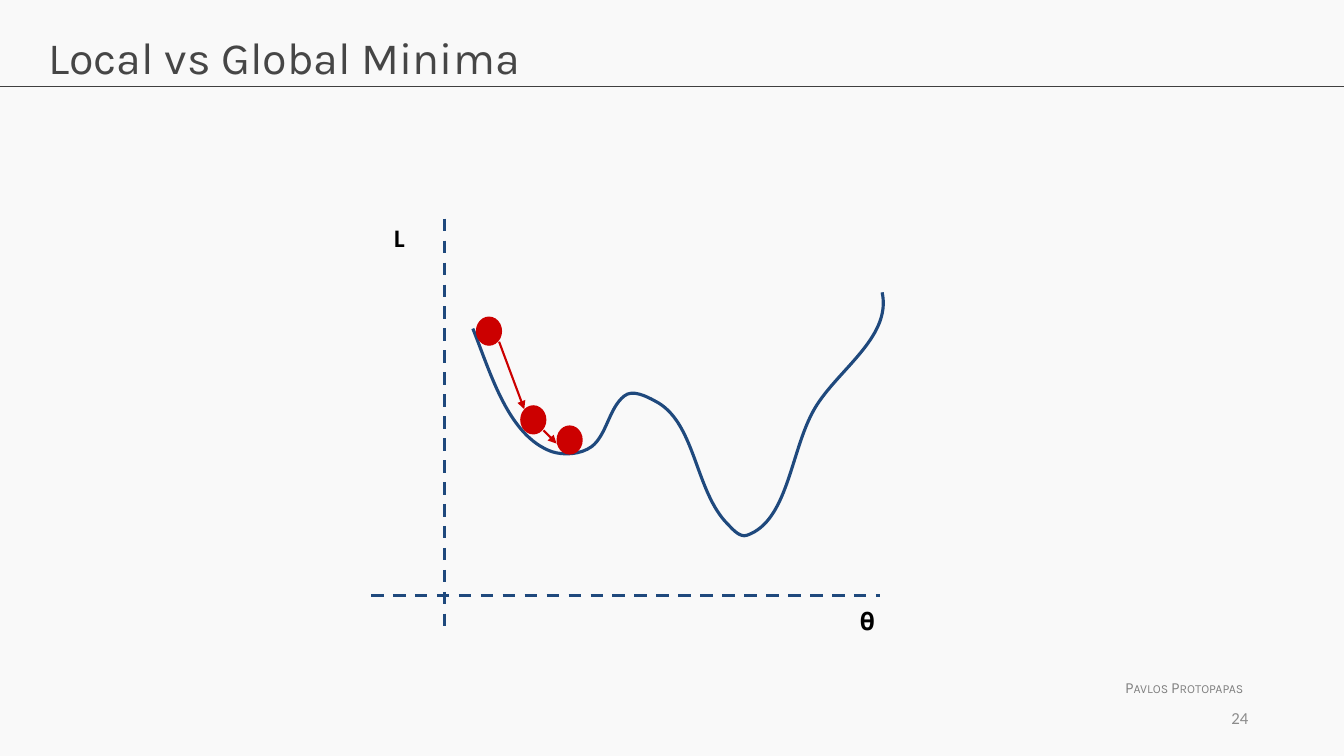
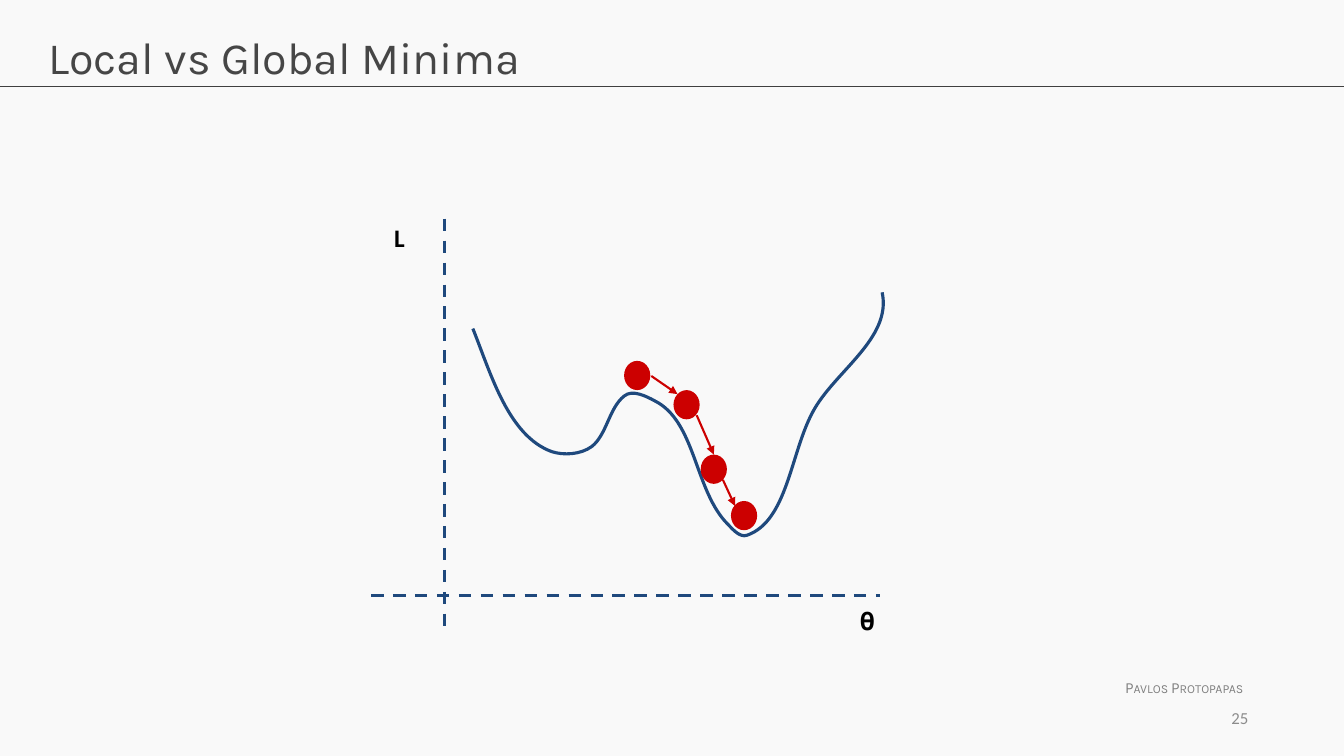
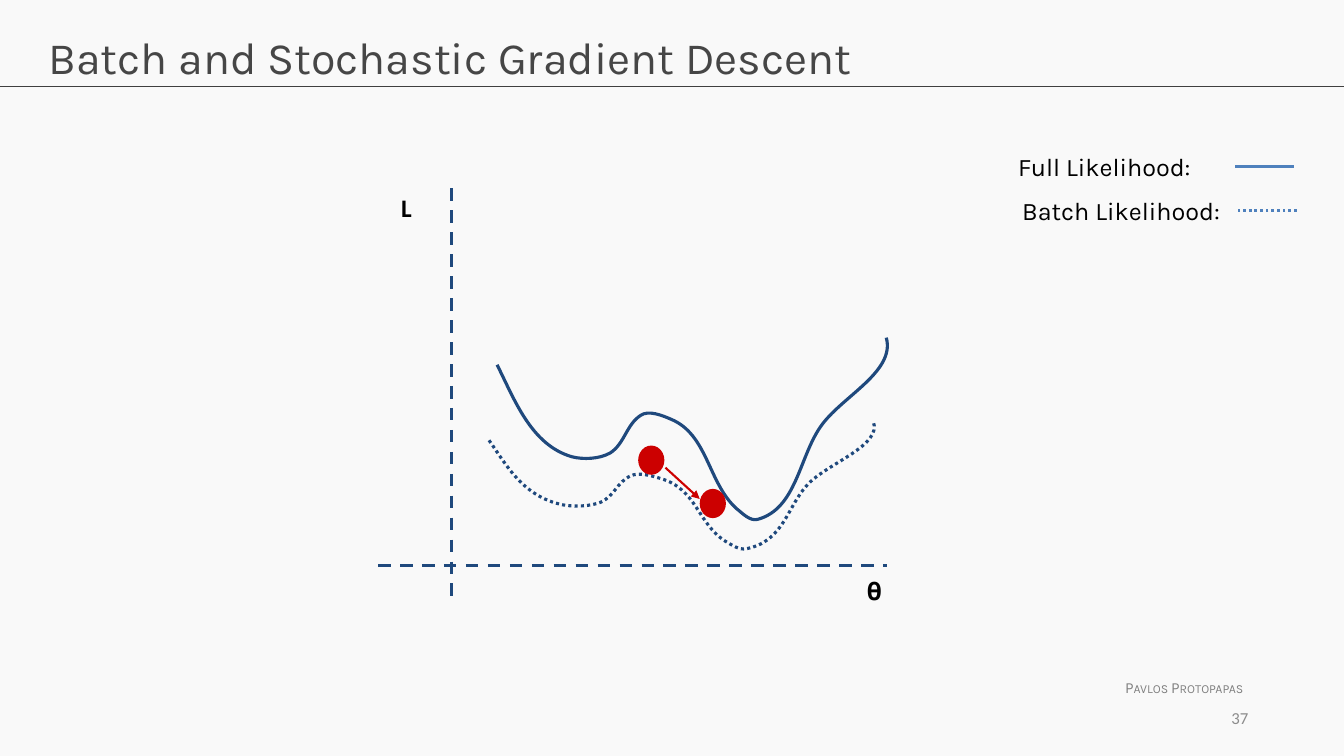
"""Build three slides on loss curves, minima and stochastic gradient descent."""
import lxml.etree
import pptx
import pptx.dml.color
import pptx.enum.dml
import pptx.enum.shapes
import pptx.enum.text
import pptx.oxml.ns
import pptx.util

Inches = pptx.util.Inches
qn = pptx.oxml.ns.qn
DASH = pptx.enum.dml.MSO_LINE.DASH
DOT = pptx.enum.dml.MSO_LINE.ROUND_DOT
COLORS = {
    name: pptx.dml.color.RGBColor.from_string(value)
    for name, value in {
        "background": "F9F9F9", "rule": "404040", "title": "464646",
        "footer": "808080", "number": "8C8C8C", "curve": "1F497D",
        "legend": "4F81BD", "ball": "CC0000", "text": "000000",
    }.items()
}

BALL_WIDTH, BALL_HEIGHT = 0.26, 0.29
CURVE_WIDTH, CURVE_HEIGHT = 4.07, 2.42
CURVE_START = (0, 0.36)
CURVE_BENDS = [
    [(0.18, 0.81), (0.35, 1.42), (0.78, 1.58)],
    [(0.9, 1.62), (1.07, 1.61), (1.18, 1.53)],
    [(1.33, 1.41), (1.35, 1.15), (1.5, 1.03)],
    [(1.58, 0.96), (1.72, 1.03), (1.81, 1.08)],
    [(2.2, 1.28), (2.2, 1.93), (2.5, 2.27)],
    [(2.56, 2.33), (2.64, 2.44), (2.72, 2.41)],
    [(3.12, 2.27), (3.15, 1.6), (3.37, 1.19)],
    [(3.58, 0.79), (4.16, 0.46), (4.06, 0)],
]

SLIDES = [
    {
        "title": "Local vs Global Minima", "number": "24", "origin": (4.41, 5.91),
        "curves": [(4.69, 2.9, 4.07, 2.42, None)],
        "balls": [(4.72, 3.14), (5.16, 4.02), (5.52, 4.22)],
        "arrows": [(4.95, 3.39, 5.2, 4.06), (5.39, 4.27, 5.52, 4.4)],
        "legend": [],
    },
    {
        "title": "Local vs Global Minima", "number": "25", "origin": (4.41, 5.91),
        "curves": [(4.69, 2.9, 4.07, 2.42, None)],
        "balls": [(6.19, 3.58), (6.68, 3.87), (6.95, 4.51), (7.25, 4.97)],
        "arrows": [(6.46, 3.73, 6.72, 3.91), (6.91, 4.12, 7.08, 4.51),
                   (7.17, 4.76, 7.29, 5.02)],
        "legend": [],
    },
    {
        "title": "Batch and Stochastic Gradient Descent", "number": "37",
        "origin": (4.48, 5.61),
        "curves": [(4.85, 4.18, 3.82, 1.27, DOT), (4.93, 3.35, 3.87, 1.81, None)],
        "balls": [(6.33, 4.42), (6.94, 4.85)],
        "arrows": [(6.6, 4.64, 6.94, 4.95)],
        "legend": [("Full Likelihood:", 10, 1.45, 1.99, 12.25, None),
                   ("Batch Likelihood:", 10.04, 1.89, 2.25, 12.28, DOT)],
    },
]


def add_line(page, ends, color, width, dash=None, arrow=False):
    """Draw a straight line between two points."""
    line = page.shapes.add_connector(
        pptx.enum.shapes.MSO_CONNECTOR.STRAIGHT, *[Inches(value) for value in ends])
    line.line.color.rgb = COLORS[color]
    line.line.width = pptx.util.Pt(width)
    if dash:
        line.line.dash_style = dash
    properties = line.element.spPr
    if arrow:
        lxml.etree.SubElement(properties.find(qn("a:ln")), qn("a:tailEnd"), type="triangle")
    lxml.etree.SubElement(properties, qn("a:effectLst"))
    return line


def add_label(page, text, place, size, font, color, wrap=True):
    """Place one line of text in a text box."""
    box = page.shapes.add_textbox(*[Inches(value) for value in place])
    frame = box.text_frame
    frame.word_wrap = wrap
    if not wrap:
        frame.auto_size = pptx.enum.text.MSO_AUTO_SIZE.SHAPE_TO_FIT_TEXT
    frame.text = text
    span = frame.paragraphs[0].runs[0]
    span.font.size = pptx.util.Pt(size)
    span.font.name = font
    span.font.color.rgb = COLORS[color]
    return box


deck = pptx.Presentation()
deck.slide_width, deck.slide_height = Inches(13.33), Inches(7.5)
background = deck.slide_master.background.fill
background.solid()
background.fore_color.rgb = COLORS["background"]

layout = deck.slide_layouts[5]
title = layout.placeholders[0]
title.left, title.top = Inches(0.38), Inches(0.24)
title.width, title.height = Inches(12.57), Inches(0.84)
title.text_frame.vertical_anchor = pptx.enum.text.MSO_ANCHOR.TOP
title.text_frame.auto_size = pptx.enum.text.MSO_AUTO_SIZE.NONE

pages = [deck.slides.add_slide(layout) for content in SLIDES]
rule = add_line(pages[0], (0, 0.86, 13.33, 0.86), "rule", 0.75)
footer = add_label(pages[0], "Pavlos Protopapas", (11.06, 6.68, 1.41, 0.29),
                   11, "Karla", "footer", wrap=False)
footer.text_frame.paragraphs[0].runs[0].font._element.set("cap", "small")
for shared in (rule, footer):
    layout.shapes.element.append(shared.element)

for page, content in zip(pages, SLIDES):
    page.shapes.title.text_frame.text = content["title"]
    para = page.shapes.title.text_frame.paragraphs[0]
    para.alignment = pptx.enum.text.PP_ALIGN.LEFT
    span = para.runs[0]
    span.font.name = "Karla"
    span.font.size = pptx.util.Pt(32)
    span.font.color.rgb = COLORS["title"]

    number = add_label(page, content["number"], (9.37, 6.92, 3.11, 0.4),
                       12, "Calibri", "number")
    number.text_frame.vertical_anchor = pptx.enum.text.MSO_ANCHOR.MIDDLE
    number.text_frame.paragraphs[0].alignment = pptx.enum.text.PP_ALIGN.RIGHT

    x, y = content["origin"]
    add_line(page, (x, y - 3.74, x, y + 0.38), "curve", 2.25, DASH)
    add_line(page, (x - 0.73, y, x + 4.32, y), "curve", 2.25, DASH)
    for text, left, top, bold in [("L", x - 0.6, y - 3.8, True),
                                  ("𝛉", x + 4.02, y, None)]:
        box = add_label(page, text, (left, top, 0.6, 0.7), 18, "Calibri", "text")
        box.text_frame.margin_top = box.text_frame.margin_bottom = Inches(0.1)
        box.text_frame.paragraphs[0].runs[0].font.bold = bold

    for left, top, width, height, dash in content["curves"]:
        stretch, squeeze = width / CURVE_WIDTH, height / CURVE_HEIGHT
        anchors = [CURVE_START] + [bend[-1] for bend in CURVE_BENDS]
        placed = [(Inches(left + across * stretch), Inches(top + down * squeeze))
                  for across, down in anchors]
        builder = page.shapes.build_freeform(*placed[0])
        builder.add_line_segments(placed[1:], close=False)
        curve = builder.convert_to_shape()
        for segment, bend in zip(list(curve.element.iter(qn("a:lnTo"))), CURVE_BENDS):
            arc = lxml.etree.Element(qn("a:cubicBezTo"))
            for across, down in bend:
                lxml.etree.SubElement(arc, qn("a:pt"), x=str(Inches(across * stretch)),
                                      y=str(Inches(down * squeeze)))
            segment.getparent().replace(segment, arc)
        curve.shadow.inherit = False
        curve.fill.background()
        curve.line.color.rgb = COLORS["curve"]
        curve.line.width = pptx.util.Pt(2.25)
        if dash:
            curve.line.dash_style = dash

    for left, top in content["balls"]:
        ball = page.shapes.add_shape(
            pptx.enum.shapes.MSO_SHAPE.OVAL, Inches(left), Inches(top),
            Inches(BALL_WIDTH), Inches(BALL_HEIGHT))
        ball.shadow.inherit = False
        ball.fill.solid()
        ball.fill.fore_color.rgb = COLORS["ball"]
        ball.line.fill.background()

    for ends in content["arrows"]:
        add_line(page, ends, "ball", 1.5, arrow=True)

    for text, left, top, width, start, dash in content["legend"]:
        add_label(page, text, (left, top, width, 0.4), 18, "Karla", "text", wrap=False)
        add_line(page, (start + 0.58, top + 0.2, start, top + 0.2), "legend", 2, dash)

deck.save("out.pptx")
